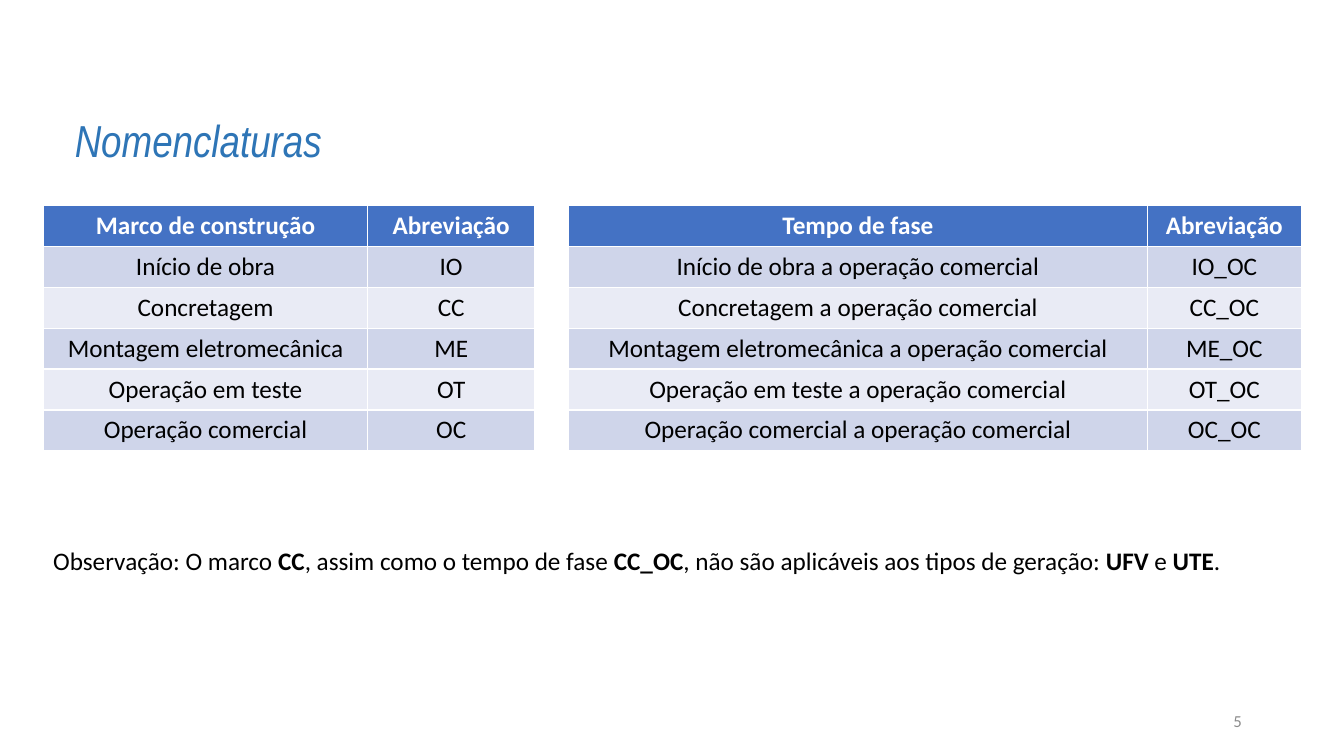
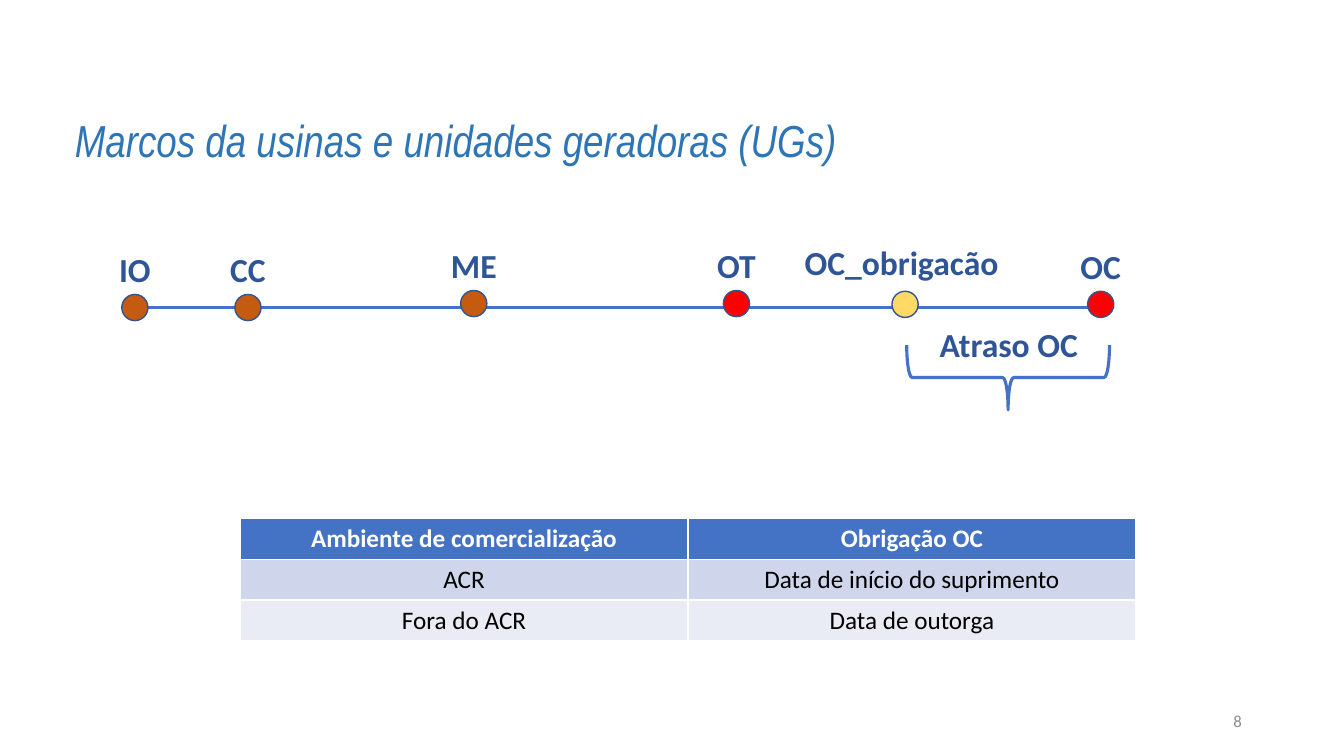
from lxml import etree
from pptx import Presentation
from pptx.dml.color import RGBColor
from pptx.enum.shapes import MSO_CONNECTOR, MSO_SHAPE
from pptx.enum.text import MSO_ANCHOR, PP_ALIGN
from pptx.oxml.ns import qn
from pptx.util import Cm, Pt

LEFT, CENTER, RIGHT = PP_ALIGN.LEFT, PP_ALIGN.CENTER, PP_ALIGN.RIGHT
TOP, MIDDLE = MSO_ANCHOR.TOP, MSO_ANCHOR.MIDDLE
STRAIGHT = MSO_CONNECTOR.STRAIGHT
ELLIPSE, BRACE = MSO_SHAPE.OVAL, MSO_SHAPE.RIGHT_BRACE

BLACK = RGBColor(0x00, 0x00, 0x00)
WHITE = RGBColor(0xFF, 0xFF, 0xFF)
GRAY = RGBColor(0x8C, 0x8C, 0x8C)
TITLE_BLUE = RGBColor(0x2E, 0x75, 0xB6)
BLUE = RGBColor(0x44, 0x72, 0xC4)
LABEL_BLUE = RGBColor(0x2F, 0x55, 0x97)
OUTLINE_BLUE = RGBColor(0x32, 0x54, 0x91)
BANDS = (RGBColor(0xCF, 0xD5, 0xEA), RGBColor(0xE9, 0xEB, 0xF5))
BROWN = RGBColor(0xC5, 0x5A, 0x11)
RED = RGBColor(0xFF, 0x00, 0x00)
YELLOW = RGBColor(0xFF, 0xD9, 0x66)

TITLE_FONT, BODY_FONT = "Arial Narrow", "Calibri"
TITLE_ONLY = 5
ROW_HEIGHT = 1.03
DOT_SIZE = 0.66
LABEL_HEIGHT = 1.27

MARKS = (
    ("Início de obra", "IO"),
    ("Concretagem", "CC"),
    ("Montagem eletromecânica", "ME"),
    ("Operação em teste", "OT"),
    ("Operação comercial", "OC"),
)
NOTE = (
    "Observação: O marco ", "CC", ", assim como o tempo de fase ", "CC_OC",
    ", não são aplicáveis aos tipos de geração: ", "UFV", " e ", "UTE", ". ",
)
MILESTONES = (
    ("IO", 3.4, 7.42, BROWN),
    ("CC", 6.25, 7.42, BROWN),
    ("ME", 11.94, 7.32, BROWN),
    ("OT", 18.56, 7.32, RED),
    ("OC", 27.74, 7.34, RED),
)


def style_span(span, size, color, bold=False, italic=False, name=BODY_FONT):
    font = span.font
    font.name, font.size = name, Pt(size)
    font.bold, font.italic = bold, italic
    font.color.rgb = color


def style_para(para, align, size, color, **look):
    para.alignment = align
    for span in para.runs:
        style_span(span, size, color, **look)


def add_text(shapes, text, left, top, width, height, align, size, color,
             bold=False, anchor=TOP):
    box = shapes.add_textbox(Cm(left), Cm(top), Cm(width), Cm(height))
    frame = box.text_frame
    frame.word_wrap = True
    frame.vertical_anchor = anchor
    frame.text = text
    style_para(frame.paragraphs[0], align, size, color, bold=bold)
    return box


def add_page(deck, title, number):
    page = deck.slides.add_slide(deck.slide_layouts[TITLE_ONLY])
    heading = page.shapes.title
    heading.left, heading.top = Cm(1.63), Cm(2.72)
    heading.width, heading.height = Cm(30.58), Cm(1.63)
    heading.text_frame.text = title
    heading.text_frame.vertical_anchor = TOP
    style_para(heading.text_frame.paragraphs[0], LEFT, 32, TITLE_BLUE,
               italic=True, name=TITLE_FONT)
    add_text(page.shapes, str(number), 23.93, 17.65, 7.62, 1.02,
             RIGHT, 12, GRAY, anchor=MIDDLE)
    return page


def add_grid(page, left, top, widths, rows):
    table = page.shapes.add_table(
        len(rows), len(widths), Cm(left), Cm(top),
        Cm(sum(widths)), Cm(ROW_HEIGHT * len(rows))).table
    for column, width in zip(table.columns, widths):
        column.width = Cm(width)
    for index, row in enumerate(rows):
        header = index == 0
        table.rows[index].height = Cm(ROW_HEIGHT)
        for cell, text in zip(table.rows[index].cells, row):
            cell.text = text
            cell.fill.solid()
            cell.fill.fore_color.rgb = BLUE if header else BANDS[(index - 1) % 2]
            style_para(cell.text_frame.paragraphs[0], CENTER, 18,
                       WHITE if header else BLACK, bold=header)


def add_note(page, pieces):
    box = add_text(page.shapes, "", 1.09, 13.61, 31.7, 1.02, LEFT, 18, BLACK)
    para = box.text_frame.paragraphs[0]
    for index, piece in enumerate(pieces):
        span = para.add_run()
        span.text = piece
        style_span(span, 18, BLACK, bold=index % 2 == 1)


def add_label(shapes, text, left, top, width):
    add_text(shapes, text, left, top, width, LABEL_HEIGHT,
             CENTER, 24, LABEL_BLUE, bold=True)


def add_axis(page, start, end, height):
    axis = page.shapes.add_connector(
        STRAIGHT, Cm(start), Cm(height), Cm(end), Cm(height))
    axis.line.color.rgb = BLUE
    axis.line.width = Pt(2.25)
    etree.SubElement(axis.element.spPr, qn("a:effectLst"))


def add_milestone(page, name, center, top, color, width=2.03, lift=1.28, shift=0):
    shapes = page.shapes.add_group_shape().shapes
    dot = shapes.add_shape(ELLIPSE, Cm(center - DOT_SIZE / 2), Cm(top),
                           Cm(DOT_SIZE), Cm(DOT_SIZE))
    dot.shadow.inherit = False
    dot.fill.solid()
    dot.fill.fore_color.rgb = color
    dot.line.color.rgb = OUTLINE_BLUE
    dot.line.width = Pt(1)
    add_label(shapes, name, center + shift - width / 2, top - lift, width)


def add_delay(page):
    shapes = page.shapes.add_group_shape().shapes
    brace = shapes.add_shape(BRACE, Cm(24.59), Cm(6.96), Cm(1.63), Cm(5.11))
    brace.rotation = 90
    brace.shadow.inherit = False
    brace.fill.background()
    brace.line.color.rgb = BLUE
    brace.line.width = Pt(2.25)
    add_label(shapes, "Atraso OC", 23.19, 8.05, 4.47)


def build_names(deck):
    page = add_page(deck, "Nomenclaturas", 5)
    phases = [(f"{mark} a operação comercial", f"{short}_OC")
              for mark, short in MARKS]
    add_grid(page, 1.09, 5.18, (8.18, 4.2),
             [("Marco de construção", "Abreviação"), *MARKS])
    add_grid(page, 14.33, 5.18, (14.58, 3.89),
             [("Tempo de fase", "Abreviação"), *phases])
    add_note(page, NOTE)


def build_timeline(deck):
    page = add_page(deck, "Marcos da usinas e unidades geradoras (UGs)", 8)
    add_axis(page, 3.07, 27.97, 7.75)
    for milestone in MILESTONES:
        add_milestone(page, *milestone)
    add_milestone(page, "OC_obrigacão", 22.81, 7.34, YELLOW,
                  width=10.69, lift=1.37, shift=-0.09)
    add_delay(page)
    add_grid(page, 6.05, 13.06, (11.29, 11.29), [
        ("Ambiente de comercialização", "Obrigação OC"),
        ("ACR", "Data de início do suprimento"),
        ("Fora do ACR", "Data de outorga"),
    ])


def main():
    deck = Presentation()
    deck.slide_width, deck.slide_height = Cm(33.87), Cm(19.05)
    build_names(deck)
    build_timeline(deck)
    deck.save("out.pptx")


main()
